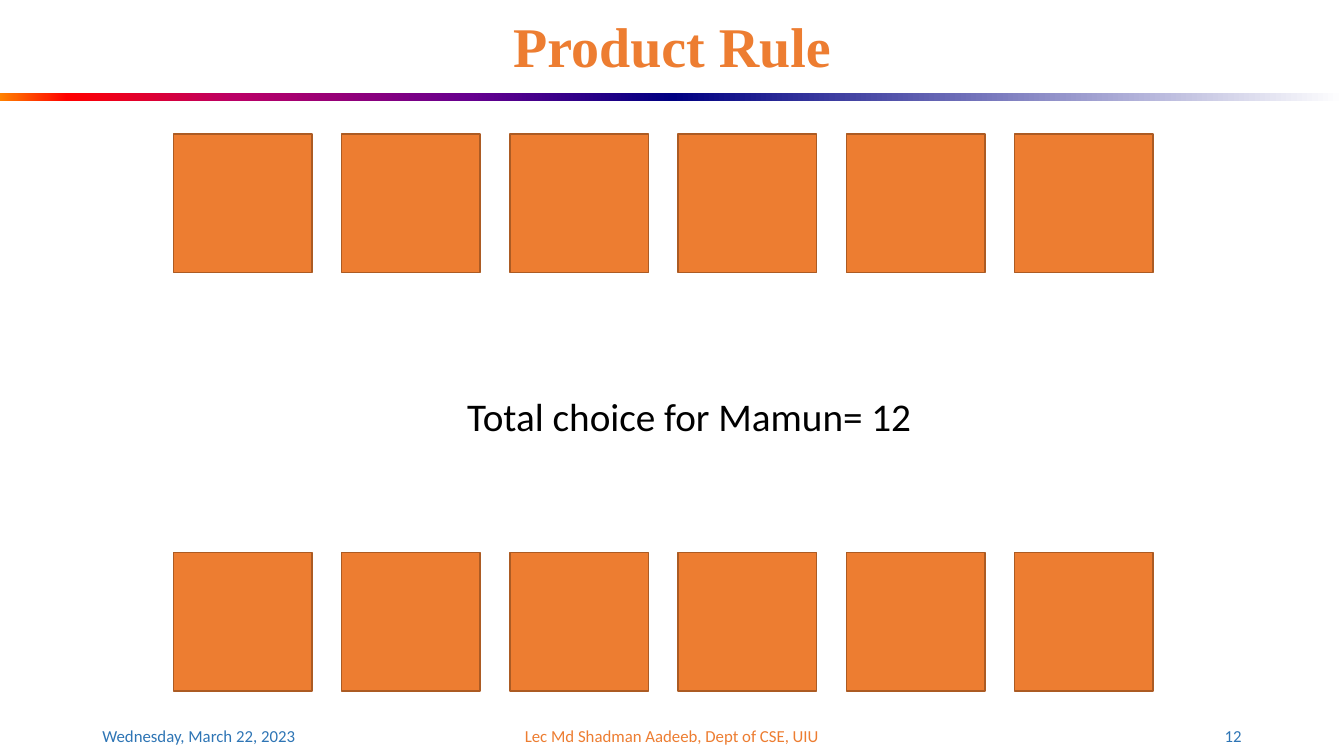
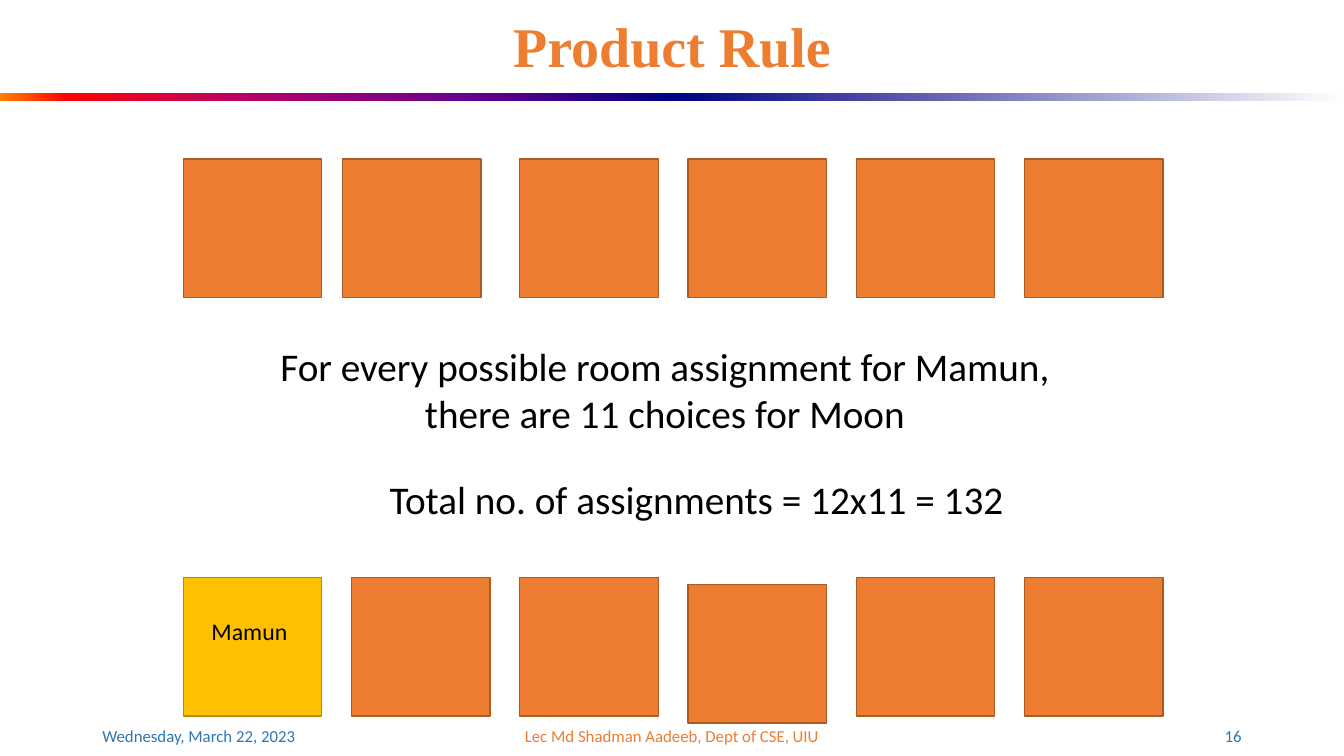
from dataclasses import dataclass

from lxml import etree
from pptx import Presentation
from pptx.dml.color import RGBColor
from pptx.enum.shapes import MSO_SHAPE
from pptx.enum.text import MSO_ANCHOR, MSO_AUTO_SIZE, PP_ALIGN
from pptx.oxml.ns import qn
from pptx.util import Cm, Pt

RECTANGLE = MSO_SHAPE.RECTANGLE
LEFT, CENTER, RIGHT = PP_ALIGN.LEFT, PP_ALIGN.CENTER, PP_ALIGN.RIGHT
TOP, MIDDLE = MSO_ANCHOR.TOP, MSO_ANCHOR.MIDDLE
FIXED = MSO_AUTO_SIZE.NONE
TITLE_ONLY = 5

SLIDE_WIDTH, SLIDE_HEIGHT = 33.87, 19.05
ROOM_SIZE, ROOM_PITCH, ROOMS_PER_ROW = 3.49, 4.24, 6


@dataclass(frozen=True)
class Theme:
    title_font: str = "Times New Roman"
    body_font: str = "Calibri"
    title_size: int = 40
    body_size: int = 28
    label_size: int = 17
    footer_size: int = 12
    text: str = "000000"
    accent: str = "ED7D31"
    footer: str = "2E75B5"
    room: tuple = ("ED7D31", "AC5B23")
    taken_room: tuple = ("FFC000", "BA8C00")
    band_left: tuple = ((0, "FF8200"), (10, "FF0000"), (35, "BA0066"),
                        (70, "66008F"), (100, "000082"))
    band_right: tuple = ((0, "000082"), (100, "FFFFFF"))


class LectureDeck:
    def __init__(self, theme):
        self.theme = theme
        self.deck = Presentation()
        self.deck.slide_width = Cm(SLIDE_WIDTH)
        self.deck.slide_height = Cm(SLIDE_HEIGHT)
        self.slide = None

    def start_slide(self, title, number):
        layout = self.deck.slide_layouts[TITLE_ONLY]
        self.slide = self.deck.slides.add_slide(layout)
        self.band()
        self.footers(number)
        self.title(title)

    def style(self, frame, size, color, align, font=None, bold=False):
        for para in frame.paragraphs:
            para.alignment = align
            for span in para.runs:
                span.font.name = font or self.theme.body_font
                span.font.size = Pt(size)
                span.font.bold = bold
                span.font.color.rgb = RGBColor.from_string(color)

    def title(self, words):
        box = self.slide.shapes.title
        box.left, box.top = Cm(2.33), Cm(0.41)
        box.width, box.height = Cm(29.21), Cm(1.68)
        frame = box.text_frame
        frame.text = words
        frame.auto_size = FIXED
        frame.vertical_anchor = MIDDLE
        frame.paragraphs[0].line_spacing = 0.9
        self.style(frame, self.theme.title_size, self.theme.accent, CENTER,
                   self.theme.title_font, True)

    def rectangle(self, left, top, width, height):
        box = self.slide.shapes.add_shape(
            RECTANGLE, Cm(left), Cm(top), Cm(width), Cm(height))
        box.shadow.inherit = False
        return box

    def band(self):
        half = SLIDE_WIDTH / 2
        for side, stops in enumerate((self.theme.band_left, self.theme.band_right)):
            box = self.rectangle(side * half, 2.34, half, 0.2)
            box.line.fill.background()
            box.fill.gradient()
            box.fill.gradient_angle = 0
            stop_list = box._element.spPr.find(".//" + qn("a:gsLst"))
            for stop in list(stop_list):
                stop_list.remove(stop)
            for percent, color in stops:
                stop = etree.SubElement(stop_list, qn("a:gs"), pos=str(percent * 1000))
                etree.SubElement(stop, qn("a:srgbClr"), val=color)

    def footers(self, number):
        theme = self.theme
        for left, width, words, color, align in (
            (2.33, 7.62, "Wednesday, March 22, 2023", theme.footer, LEFT),
            (11.22, 11.43, "Lec Md Shadman Aadeeb, Dept of CSE, UIU", theme.accent, CENTER),
            (23.92, 7.62, str(number), theme.footer, RIGHT),
        ):
            self.text(left, 18.03, width, 1.01, words, theme.footer_size,
                      color, align, MIDDLE)

    def text(self, left, top, width, height, words, size=None, color=None,
             align=CENTER, anchor=TOP):
        box = self.slide.shapes.add_textbox(Cm(left), Cm(top), Cm(width), Cm(height))
        frame = box.text_frame
        frame.word_wrap = True
        frame.auto_size = FIXED
        frame.vertical_anchor = anchor
        frame.text = words
        self.style(frame, size or self.theme.body_size, color or self.theme.text, align)

    def room(self, left, top, colors):
        fill, line = colors
        box = self.rectangle(left, top, ROOM_SIZE, ROOM_SIZE)
        box.fill.solid()
        box.fill.fore_color.rgb = RGBColor.from_string(fill)
        box.line.color.rgb = RGBColor.from_string(line)
        box.line.width = Pt(1)

    def room_row(self, left, top, shifts=None, taken=()):
        for column in range(ROOMS_PER_ROW):
            across, down = (shifts or {}).get(column, (0, 0))
            colors = self.theme.taken_room if column in taken else self.theme.room
            self.room(left + column * ROOM_PITCH + across, top + down, colors)


def main():
    theme = Theme()
    lecture = LectureDeck(theme)

    lecture.start_slide("Product Rule", 12)
    for top in (3.38, 13.92):
        lecture.room_row(4.37, top)
    lecture.text(11.3, 9.75, 12.14, 1.45, "Total choice for Mamun= 12")

    lecture.start_slide("Product Rule", 16)
    lecture.room_row(4.62, 4.01, shifts={1: (-0.23, 0)})
    lecture.room_row(4.62, 14.55, shifts={3: (0, 0.18)}, taken=(0,))
    lecture.text(5.08, 15.42, 2.54, 0.99, "Mamun", theme.label_size, align=LEFT)
    lecture.text(5.72, 8.51, 22.07, 2.64,
                 "For every possible room assignment for Mamun,\n"
                 "there are 11 choices for Moon")
    lecture.text(9.22, 11.86, 16.66, 1.45, "Total no. of assignments = 12x11 = 132")

    lecture.deck.save("out.pptx")


if __name__ == "__main__":
    main()
